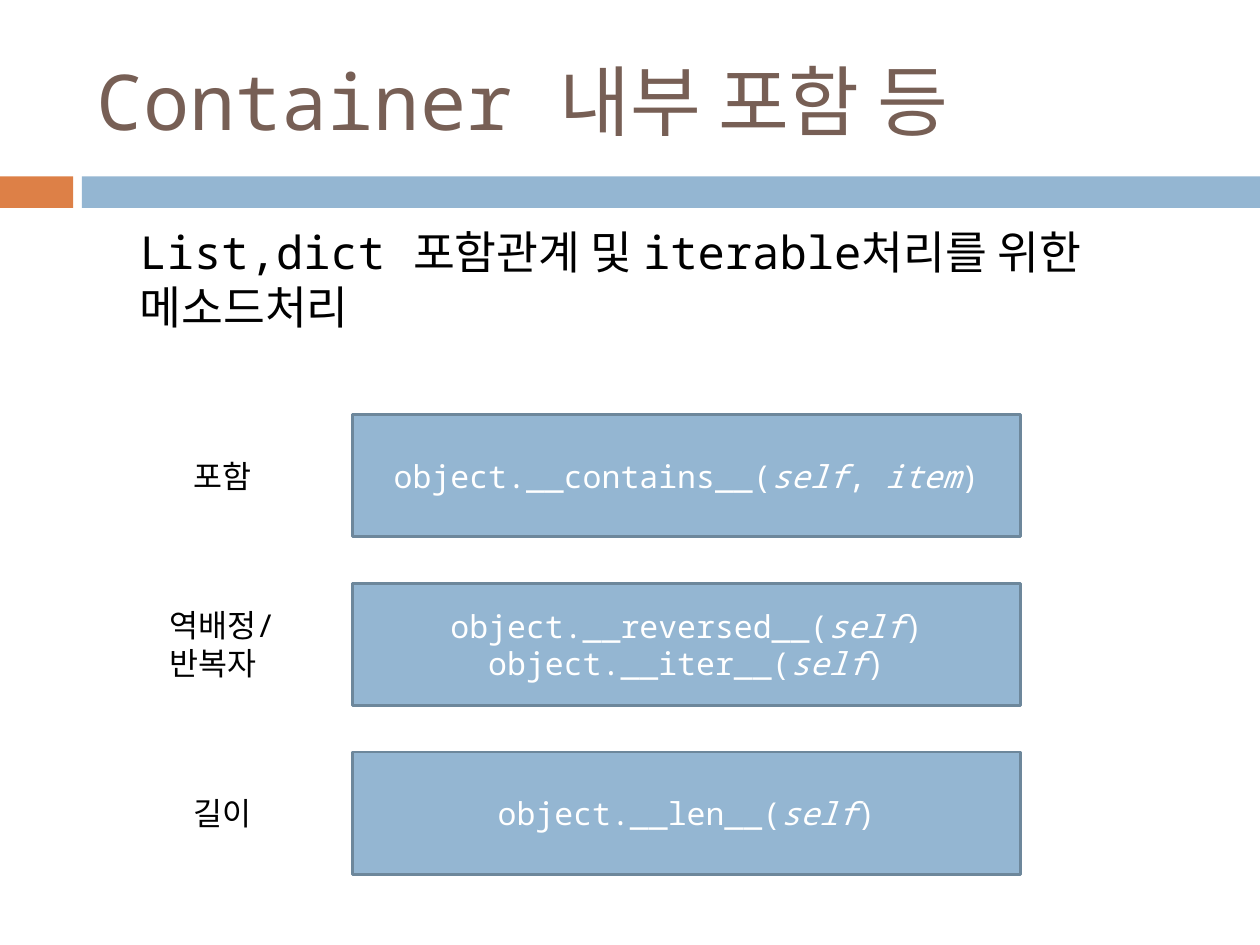
from dataclasses import dataclass

from pptx import Presentation
from pptx.dml.color import RGBColor
from pptx.enum.shapes import MSO_SHAPE as Shape
from pptx.enum.text import MSO_ANCHOR as Anchor, PP_ALIGN as Align
from pptx.util import Inches, Pt

FONT = "Noto Sans Mono"
ORANGE = RGBColor(0xDD, 0x80, 0x47)
BLUE = RGBColor(0x94, 0xB6, 0xD2)
BLUE_EDGE = RGBColor(0x6D, 0x87, 0x9B)
BROWN = RGBColor(0x77, 0x5F, 0x55)
BLACK = RGBColor(0, 0, 0)
WHITE = RGBColor(0xFF, 0xFF, 0xFF)

# Row grid in inches
FIRST_ROW, ROW_PITCH = 3.29, 1.34
BOX_LEFT, BOX_WIDTH, BOX_HEIGHT = 2.8, 5.3, 0.97
LABEL_CENTER = 1.79


@dataclass(frozen=True)
class Area:
    left: float
    top: float
    width: float
    height: float

    def lengths(self) -> list[int]:
        return [Inches(v) for v in (self.left, self.top, self.width, self.height)]


@dataclass(frozen=True)
class Method:
    name: str
    arguments: tuple[str, ...] = ("self",)


@dataclass(frozen=True)
class Row:
    label: tuple[str, ...]
    label_width: float
    label_height: float
    methods: tuple[Method, ...]


ROWS = (
    Row(("포함",), 0.71, 0.4, (Method("__contains__", ("self", "item")),)),
    Row(("역배정/", "반복자"), 1.09, 0.71, (Method("__reversed__"), Method("__iter__"))),
    Row(("길이",), 0.71, 0.4, (Method("__len__"),)),
)


def style(paragraph, size: float, color: RGBColor) -> None:
    paragraph.font.name = FONT
    paragraph.font.size = Pt(size)
    paragraph.font.color.rgb = color


def add_rectangle(slide, area: Area, fill: RGBColor):
    shape = slide.shapes.add_shape(Shape.RECTANGLE, *area.lengths())
    shape.shadow.inherit = False
    shape.fill.solid()
    shape.fill.fore_color.rgb = fill
    shape.line.fill.background()
    return shape


def add_text(slide, area: Area, lines: tuple[str, ...], size: float,
             color: RGBColor, anchor=Anchor.TOP):
    frame = slide.shapes.add_textbox(*area.lengths()).text_frame
    frame.word_wrap = True
    frame.vertical_anchor = anchor
    frame.text = "\n".join(lines)
    for paragraph in frame.paragraphs:
        style(paragraph, size, color)
    return frame


def write_method(paragraph, method: Method) -> None:
    """Write object.name(arguments) with the arguments in italics."""
    paragraph.add_run().text = f"object.{method.name}("
    for index, argument in enumerate(method.arguments):
        if index:
            paragraph.add_run().text = ", "
        run = paragraph.add_run()
        run.text = argument
        run.font.italic = True
    paragraph.add_run().text = ")"
    paragraph.alignment = Align.CENTER
    style(paragraph, 18, WHITE)


def add_row(slide, row: Row, top: float) -> None:
    box = add_rectangle(slide, Area(BOX_LEFT, top, BOX_WIDTH, BOX_HEIGHT), BLUE)
    box.line.color.rgb = BLUE_EDGE
    box.line.width = Pt(1.5)
    frame = box.text_frame
    frame.word_wrap = True
    frame.vertical_anchor = Anchor.MIDDLE
    for index, method in enumerate(row.methods):
        paragraph = frame.add_paragraph() if index else frame.paragraphs[0]
        write_method(paragraph, method)

    # Label centred on its box
    label_area = Area(LABEL_CENTER - row.label_width / 2,
                      top + (BOX_HEIGHT - row.label_height) / 2,
                      row.label_width, row.label_height)
    add_text(slide, label_area, row.label, 18, BLACK)


def main() -> None:
    presentation = Presentation()
    presentation.slide_width, presentation.slide_height = Inches(10), Inches(7.5)
    slide = presentation.slides.add_slide(presentation.slide_layouts[6])

    # Header band
    add_rectangle(slide, Area(0, 1.4, 0.58, 0.25), ORANGE)
    add_rectangle(slide, Area(0.65, 1.4, 9.35, 0.25), BLUE)

    # Title and introduction
    add_text(slide, Area(0.67, 0.25, 8.92, 1.08), ("Container 내부 포함 등",),
             44, BROWN, Anchor.MIDDLE)
    add_text(slide, Area(1.01, 1.73, 8.5, 1),
             ("List,dict 포함관계 및 iterable처리를 위한 메소드처리",), 26, BLACK)

    # Labelled method boxes
    for index, row in enumerate(ROWS):
        add_row(slide, row, FIRST_ROW + index * ROW_PITCH)

    presentation.save("out.pptx")


if __name__ == "__main__":
    main()
